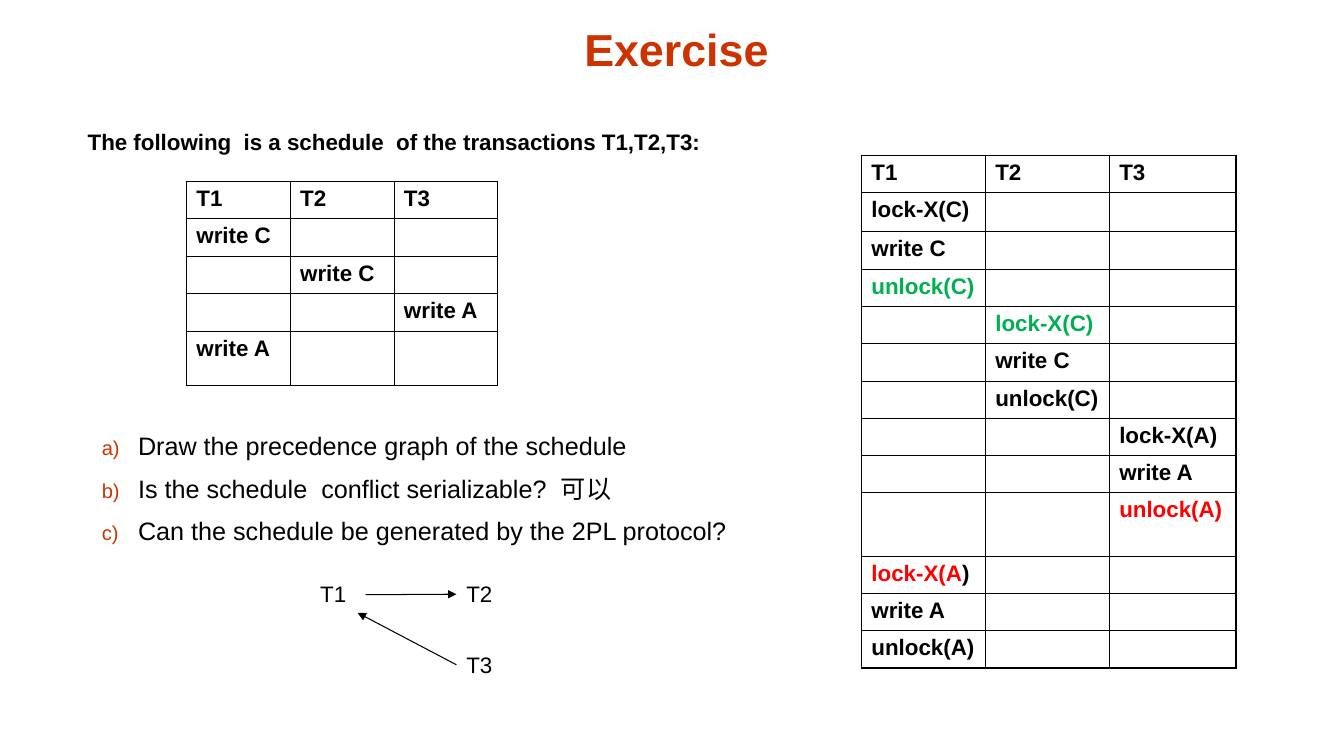
from dataclasses import dataclass
from lxml.etree import SubElement
from pptx import Presentation
from pptx.dml.color import RGBColor
from pptx.enum.shapes import MSO_CONNECTOR
from pptx.enum.text import MSO_ANCHOR, MSO_AUTO_SIZE, PP_ALIGN
from pptx.oxml.ns import qn
from pptx.util import Inches, Pt


@dataclass(frozen=True)
class Theme:
    """Colours, font and type sizes of the slide."""
    font: str = "Arial"
    ink: str = "000000"
    rust: str = "CC3300"
    green: str = "00B050"
    red: str = "FF0000"
    title: int = 32
    item: int = 18
    text: int = 16
    thin: float = 0.45
    thick: float = 1.08
    arrow: float = 0.75


THEME = Theme()
HEADS = ("T1", "T2", "T3")
PLAN = [
    (0, ("write C", THEME.ink)),
    (1, ("write C", THEME.ink)),
    (2, ("write A", THEME.ink)),
    (0, ("write A", THEME.ink)),
]
LOCKS = [
    (0, ("lock-X(C)", THEME.ink)),
    (0, ("write C", THEME.ink)),
    (0, ("unlock(C)", THEME.green)),
    (1, ("lock-X(C)", THEME.green)),
    (1, ("write C", THEME.ink)),
    (1, ("unlock(C)", THEME.ink)),
    (2, ("lock-X(A)", THEME.ink)),
    (2, ("write A", THEME.ink)),
    (2, ("unlock(A)", THEME.red)),
    (0, ("lock-X(A", THEME.red), (")", THEME.ink)),
    (0, ("write A", THEME.ink)),
    (0, ("unlock(A)", THEME.ink)),
]
TASKS = [
    "Draw the precedence graph of the schedule",
    "Is the schedule  conflict serializable?  可以",
    "Can the schedule be generated by the 2PL protocol?",
]


def write(par, text, size=THEME.text, color=THEME.ink, bold=False):
    """Add a formatted run to a paragraph."""
    run = par.add_run()
    run.text = text
    run.font.name = THEME.font
    run.font.size = Pt(size)
    run.font.bold = bold
    run.font.color.rgb = RGBColor.from_string(color)


def place(shape, left, top, width, height):
    """Move and size a placeholder, and return its text frame."""
    shape.left, shape.top = Inches(left), Inches(top)
    shape.width, shape.height = Inches(width), Inches(height)
    frame = shape.text_frame
    frame.auto_size = MSO_AUTO_SIZE.NONE
    return frame


def indent(par, left, first):
    """Set the indents of a paragraph and return its properties."""
    props = par._p.get_or_add_pPr()
    props.set("marL", str(Inches(left)))
    props.set("indent", str(Inches(first)))
    return props


def letter(par):
    """Number a paragraph with a small coloured letter."""
    props = indent(par, 0.5, -0.36)
    color = SubElement(props, qn("a:buClr"))
    SubElement(color, qn("a:srgbClr"), val=THEME.rust)
    SubElement(props, qn("a:buSzPct"), val="80000")
    SubElement(props, qn("a:buFont"), typeface=THEME.font)
    SubElement(props, qn("a:buAutoNum"), type="alphaLcParenR")


def add_body(shape):
    """Fill the body with the lead line and the lettered tasks."""
    frame = place(shape, 0.77, 1.22, 7.14, 5.36)
    lead = frame.paragraphs[0]
    lead.alignment = PP_ALIGN.JUSTIFY
    SubElement(indent(lead, 0, 0), qn("a:buNone"))
    write(lead, "The following  is a schedule  of the transactions T1,T2,T3:",
          bold=True)
    for row, task in enumerate(TASKS):
        par = frame.add_paragraph()
        par.level = 1
        par.alignment = PP_ALIGN.JUSTIFY
        par.space_before = Pt(8.5 if row else 197)
        letter(par)
        write(par, task, size=THEME.item)


def border(cell, thick):
    """Draw the four sides of a cell, with the named sides thick."""
    props = cell._tc.get_or_add_tcPr()
    for side in "LRTB":
        width = THEME.thick if side in thick else THEME.thin
        line = SubElement(props, qn(f"a:ln{side}"), w=str(Pt(width)))
        fill = SubElement(line, qn("a:solidFill"))
        SubElement(fill, qn("a:srgbClr"), val=THEME.ink)


def add_grid(slide, left, top, cols, rows, steps, thick):
    """Add a schedule table with one step in each row."""
    shape = slide.shapes.add_table(
        len(rows), len(cols), Inches(left), Inches(top),
        Inches(sum(cols)), Inches(sum(rows)))
    grid = shape.table
    grid.first_row = grid.horz_banding = False
    for col, width in zip(grid.columns, cols):
        col.width = Inches(width)
    for row, height in zip(grid.rows, rows):
        row.height = Inches(height)
    texts = {(0, col): [(head, THEME.ink)] for col, head in enumerate(HEADS)}
    texts.update({(row, col): runs
                  for row, (col, *runs) in enumerate(steps, 1)})
    for row in range(len(rows)):
        for col in range(len(cols)):
            cell = grid.cell(row, col)
            edges = {"L": col == 0, "R": col == len(cols) - 1,
                     "T": row == 0, "B": row == len(rows) - 1}
            border(cell, [side for side in thick if edges[side]])
            cell.fill.background()
            par = cell.text_frame.paragraphs[0]
            for text, color in texts.get((row, col), []):
                write(par, text, color=color, bold=True)
            SubElement(par._p, qn("a:endParaRPr"), sz=str(THEME.text * 100))


def add_node(slide, text, left, top):
    """Add a label of the precedence graph."""
    box = slide.shapes.add_textbox(
        Inches(left), Inches(top), Inches(0.81), Inches(0.37))
    box.text_frame.word_wrap = True
    write(box.text_frame.paragraphs[0], text)
    return box


def add_arrow(slide, start, end):
    """Add an arrow between two points."""
    line = slide.shapes.add_connector(
        MSO_CONNECTOR.STRAIGHT, *map(Inches, start + end))
    line.line.width = Pt(THEME.arrow)
    line.line.color.rgb = RGBColor.from_string(THEME.ink)
    SubElement(line.line._get_or_add_ln(), qn("a:tailEnd"), type="triangle")
    SubElement(line._element.spPr, qn("a:effectLst"))
    return line


def main():
    """Build the exercise slide."""
    deck = Presentation()
    deck.slide_width, deck.slide_height = Inches(13.34), Inches(7.5)
    slide = deck.slides.add_slide(deck.slide_layouts[1])
    frame = place(slide.shapes.title, 2.56, 0.13, 8.31, 0.67)
    frame.vertical_anchor = MSO_ANCHOR.BOTTOM
    head = frame.paragraphs[0]
    head.alignment = PP_ALIGN.CENTER
    write(head, "Exercise", size=THEME.title, color=THEME.rust, bold=True)
    add_body(slide.placeholders[1])

    add_grid(slide, 1.85, 1.8, [1.03] * 3, [0.37] * 4 + [0.54], PLAN, "LTB")
    add_node(slide, "T1", 3.08, 5.71)
    second = add_node(slide, "T2", 4.53, 5.71)
    third = add_node(slide, "T3", 4.53, 6.41)
    add_arrow(slide, (3.63, 5.9), (4.53, 5.9)).end_connect(second, 1)
    add_arrow(slide, (4.53, 6.59), (3.55, 6.08)).begin_connect(third, 1)
    rows = [0.37] + [0.38] * 2 + [0.37] * 6 + [0.63] + [0.37] * 3
    add_grid(slide, 8.55, 1.54, [1.23, 1.23, 1.26], rows, LOCKS, "LRTB")
    deck.save("out.pptx")


if __name__ == "__main__":
    main()
